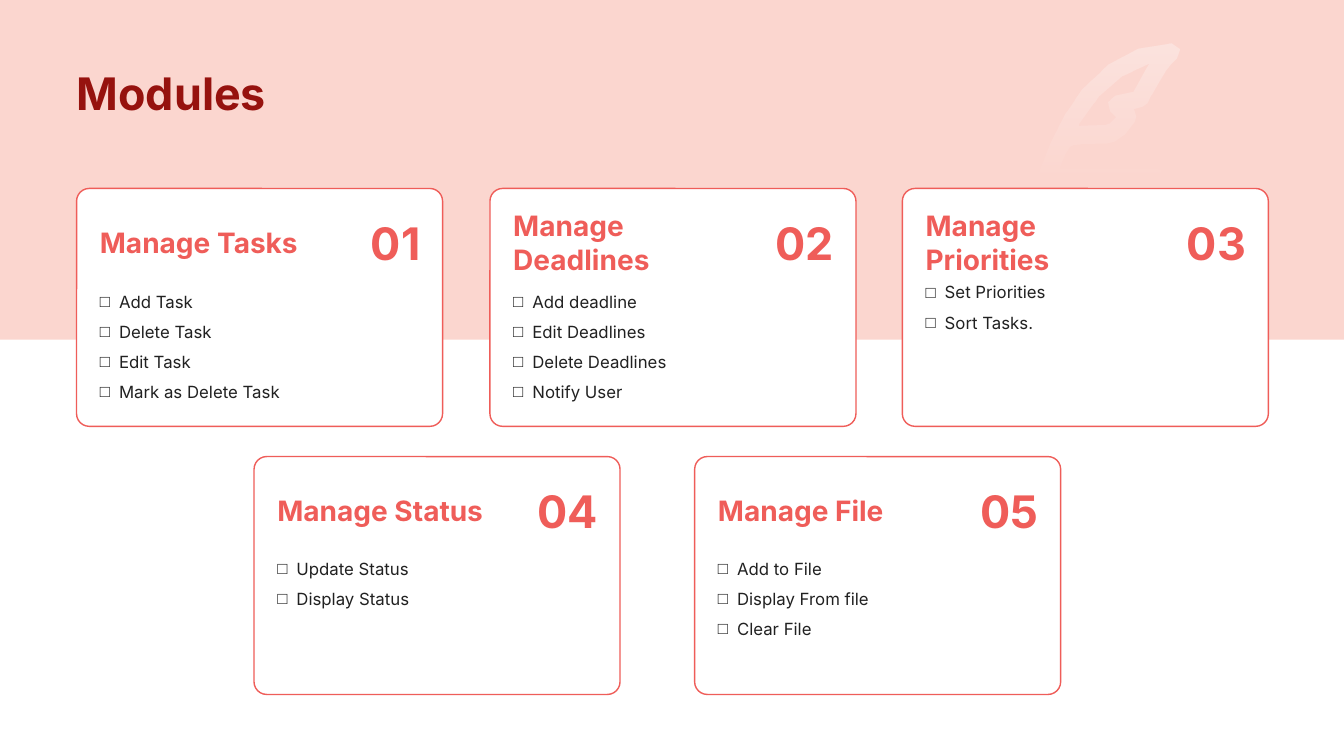
from dataclasses import dataclass
from math import dist

from lxml import etree
from pptx import Presentation
from pptx.dml.color import RGBColor
from pptx.enum.shapes import MSO_SHAPE
from pptx.enum.text import MSO_ANCHOR, PP_ALIGN
from pptx.oxml.ns import qn
from pptx.shapes.autoshape import Shape
from pptx.slide import Slide
from pptx.util import Pt

PX = 9144
SLIDE_W, SLIDE_H = 1333, 750
CARD_W, CARD_H = 363, 236
PADDING = 23
LIST_INDENT = 19
FONT = "Inter"
BULLET_FONT = "Arial"

BLUSH = RGBColor(0xFB, 0xD6, 0xCF)
CORAL = RGBColor(0xEF, 0x5D, 0x59)
MAROON = RGBColor(0x96, 0x12, 0x0E)
INK = RGBColor(0x21, 0x21, 0x21)
WHITE = RGBColor(0xFF, 0xFF, 0xFF)

RECTANGLE = MSO_SHAPE.RECTANGLE
ROUNDED = MSO_SHAPE.ROUNDED_RECTANGLE
TOP, MIDDLE, BOTTOM = MSO_ANCHOR.TOP, MSO_ANCHOR.MIDDLE, MSO_ANCHOR.BOTTOM
LEFT, RIGHT = PP_ALIGN.LEFT, PP_ALIGN.RIGHT

Outline = list[tuple[int, ...]]
Point = tuple[float, float]

FEATHER_EDGE: Outline = [
    (1162, 43), (1170, 43, 1174, 53, 1167, 58), (1160, 64, 1156, 69, 1150, 80),
    (1142, 94), (1138, 102), (1136, 105, 1132, 106, 1124, 108), (1125, 110),
    (1127, 114, 1127, 117, 1125, 121), (1115, 135, 1106, 142, 1096, 142),
    (1086, 142), (1068, 142, 1063, 143, 1061, 145),
    (1059, 148, 1055, 155, 1051, 166), (1146, 166),
    (1150, 166, 1153, 169, 1153, 174), (1153, 179), (1151, 181), (1033, 181),
    (1030, 179), (1030, 174), (1031, 169),
    (1042, 138, 1056, 111, 1073, 89), (1097, 60, 1127, 43, 1162, 43),
]
FEATHER_HOLE: Outline = [
    (1140, 63), (1111, 71, 1088, 92, 1070, 123), (1070, 125),
    (1077, 124, 1082, 124, 1088, 124), (1096, 124),
    (1099, 124, 1102, 122, 1107, 116), (1101, 110),
    (1096, 105, 1099, 96, 1106, 95), (1124, 91), (1128, 84), (1134, 73),
]


@dataclass(frozen=True)
class Module:
    left: int
    top: int
    number: str
    heading: list[str]
    features: list[str]
    features_top: int = 92


ROW_1, ROW_2 = 187, 453
MODULES = [
    Module(76, ROW_1, "01", ["Manage Tasks"],
           ["Add Task", "Delete Task", "Edit Task", "Mark as Delete Task"]),
    Module(486, ROW_1, "02", ["Manage", "Deadlines"],
           ["Add deadline", "Edit Deadlines", "Delete Deadlines", "Notify User"]),
    Module(895, ROW_1, "03", ["Manage Priorities"],
           ["Set Priorities", "Sort Tasks."], features_top=83),
    Module(252, ROW_2, "04", ["Manage Status"],
           ["Update Status", "Display Status"], features_top=91),
    Module(689, ROW_2, "05", ["Manage File"],
           ["Add to File", "Display From file", "Clear File"], features_top=91),
]


def add_panel(slide: Slide, kind: MSO_SHAPE, left: int, top: int, width: int,
              height: int, fill: RGBColor, line: RGBColor | None = None) -> Shape:
    panel = slide.shapes.add_shape(kind, left * PX, top * PX, width * PX, height * PX)
    panel.shadow.inherit = False
    panel.fill.solid()
    panel.fill.fore_color.rgb = fill
    if line is None:
        panel.line.fill.background()
    else:
        panel.line.color.rgb = line
        panel.line.width = Pt(1)
    return panel


def add_text(slide: Slide, lines: list[str], left: int, top: int, width: int,
             height: int, *, size: int, color: RGBColor, bold: bool = False,
             anchor: MSO_ANCHOR = MIDDLE, align: PP_ALIGN = LEFT,
             bullet: str = "") -> None:
    frame = slide.shapes.add_textbox(
        left * PX, top * PX, width * PX, height * PX).text_frame
    frame.word_wrap = True
    frame.vertical_anchor = anchor
    frame.margin_left = frame.margin_top = frame.margin_right = frame.margin_bottom = 0
    for index, line in enumerate(lines):
        paragraph = frame.add_paragraph() if index else frame.paragraphs[0]
        paragraph.alignment = align
        run = paragraph.add_run()
        run.text = line
        run.font.name = FONT
        run.font.size = Pt(size)
        run.font.bold = bold
        run.font.color.rgb = color
        if bullet:
            paragraph.line_spacing = 1.5
            properties = paragraph._p.get_or_add_pPr()
            properties.set("marL", str(LIST_INDENT * PX))
            properties.set("indent", str(-LIST_INDENT * PX))
            etree.SubElement(properties, qn("a:buFont"), typeface=BULLET_FONT)
            etree.SubElement(properties, qn("a:buChar"), char=bullet)


def trace(outline: Outline) -> list[Point]:
    points: list[Point] = []
    for segment in outline:
        end = segment[-2:]
        if len(segment) == 6:
            x0, y0 = points[-1]
            x1, y1, x2, y2, x3, y3 = segment
            length = dist(points[-1], end)
            steps = 3 if length > 25 else 2 if length > 10 else 1
            for step in range(1, steps):
                t = step / steps
                a, b, c, d = (1 - t)**3, 3*t*(1 - t)**2, 3*t*t*(1 - t), t**3
                points.append((a*x0 + b*x1 + c*x2 + d*x3, a*y0 + b*y1 + c*y2 + d*y3))
        if end != outline[0] or not points:
            points.append(end)
    return [(x * PX, y * PX) for x, y in points]


def add_feather(slide: Slide) -> None:
    edge, hole = trace(FEATHER_EDGE), trace(FEATHER_HOLE)
    builder = slide.shapes.build_freeform(*edge[0])
    builder.add_line_segments(edge[1:], close=True)
    builder.move_to(*hole[0])
    builder.add_line_segments(hole[1:], close=True)
    feather = builder.convert_to_shape()
    feather.shadow.inherit = False
    feather.line.fill.background()
    feather.fill.gradient()
    feather.fill.gradient_angle = 270
    for stop in feather.fill.gradient_stops:
        stop.color.rgb = WHITE
    for color, opacity in zip(feather._element.spPr.iter(qn("a:srgbClr")), (33, 0)):
        etree.SubElement(color, qn("a:alpha"), val=str(opacity * 1000))


def add_module(slide: Slide, module: Module) -> None:
    left, top = module.left + PADDING, module.top + 21
    card = add_panel(slide, ROUNDED, module.left, module.top, CARD_W, CARD_H,
                     WHITE, CORAL)
    card.adjustments[0] = 0.053
    add_text(slide, module.features, left, module.top + module.features_top, 318, 124,
             size=12, color=INK, anchor=TOP, bullet="□")
    add_text(slide, module.heading, left, top, 219, 65,
             size=20, color=CORAL, bold=True)
    add_text(slide, [module.number], module.left + 261, top, 80, 65,
             size=32, color=CORAL, bold=True, align=RIGHT)


def main() -> None:
    presentation = Presentation()
    presentation.slide_width = SLIDE_W * PX
    presentation.slide_height = SLIDE_H * PX
    slide = presentation.slides.add_slide(presentation.slide_layouts[6])
    add_panel(slide, RECTANGLE, 0, 0, SLIDE_W, 337, BLUSH)
    add_feather(slide)
    add_text(slide, ["Modules"], 76, 39, 1181, 79,
             size=32, color=MAROON, bold=True, anchor=BOTTOM)
    for module in MODULES:
        add_module(slide, module)
    presentation.save("out.pptx")


if __name__ == "__main__":
    main()
